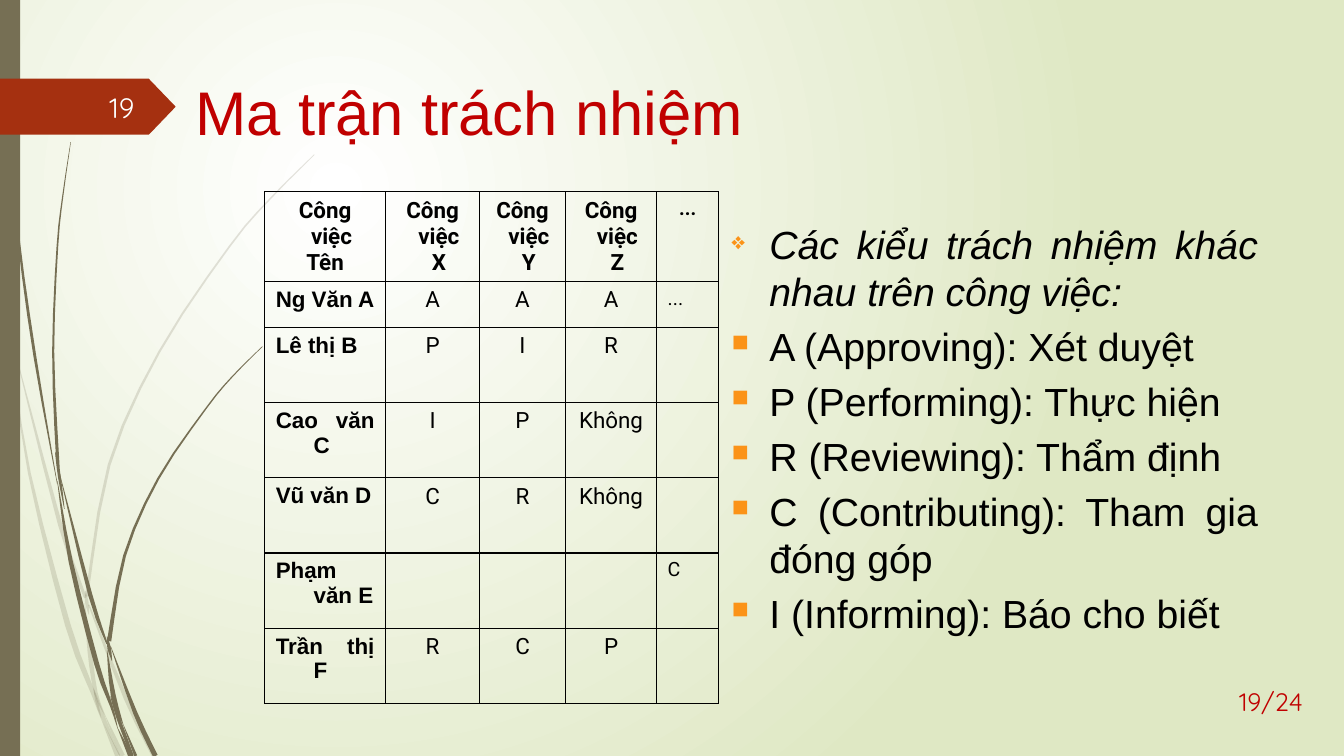
"""Build the responsibility matrix slide."""
from math import hypot

from lxml import etree
from pptx import Presentation
from pptx.dml.color import RGBColor
from pptx.enum.shapes import MSO_SHAPE
from pptx.enum.text import MSO_ANCHOR, PP_ALIGN
from pptx.oxml.ns import qn
from pptx.util import Pt

LEFT, CENTER, RIGHT, JUSTIFY = PP_ALIGN.LEFT, PP_ALIGN.CENTER, PP_ALIGN.RIGHT, PP_ALIGN.JUSTIFY
TOP, MIDDLE = MSO_ANCHOR.TOP, MSO_ANCHOR.MIDDLE

THEME = {
    "white": "FFFFFF", "green": "DFE8C4", "stalk": "766F54", "arrow": "A53010",
    "title": "C00000", "text": "000000", "bullet": "FB9318", "number": "FEFFFF",
    "sans": "Arial", "table": "Roboto", "page": "Quicksand",
    "title_size": 44, "body_size": 28, "number_size": 20, "page_size": 18,
    "cell_size": 16, "small_size": 14,
}

TITLE = "Ma trận trách nhiệm"
MATRIX = [
    ["Công việc\nTên", "Công việc X", "Công việc Y", "Công việc Z", "..."],
    ["Ng Văn A", "A", "A", "A", "..."],
    ["Lê thị B", "P", "I", "R", ""],
    ["Cao văn C", "I", "P", "Không", ""],
    ["Vũ văn D", "C", "R", "Không", ""],
    ["Phạm văn E", "", "", "", "C"],
    ["Trần thị F", "R", "C", "P", ""],
]
COLUMN_WIDTHS = [86.5, 67, 61.5, 65, 44.5]
ROW_HEIGHTS = [60, 32.75] + [53.75] * 5
DUTIES_HEAD = "Các kiểu trách nhiệm khác nhau trên công việc:"
DUTIES = [
    "A (Approving): Xét duyệt",
    "P (Performing): Thực hiện",
    "R (Reviewing): Thẩm định",
    "C (Contributing): Tham gia đóng góp",
    "I (Informing): Báo cho biết",
]

# Blades are centre points with a thickness.
BACK_BLADES = [
    [(0, 209, 2), (7, 242, 1.5), (8, 252, 0.3)],
    [(10, 248, 0.3), (43, 375, 3), (61, 427, 2)],
    [(63.5, 432, 1), (90, 499, 3), (110, 540, 3)],
    [(75.5, 512, 0.3), (87.5, 540, 3.5)],
    [(8, 252, 0.3), (21, 338, 2), (48.5, 446.5, 4), (66.5, 495, 3), (72.5, 514, 0.3)],
    [(60.5, 431, 0.3), (64, 465, 3), (68.5, 495, 2.5), (75.5, 512, 0.3)],
    [(224.5, 110.5, 0.5), (193, 142, 1), (164, 176, 1.2), (114, 251, 1.5), (78, 332, 2),
     (62, 426, 2)],
    [(72.5, 514, 0.3), (84, 540, 3.5)],
    [(61, 422, 0.3), (62, 430, 2.5), (63.5, 439, 0.3)],
    [(67, 492, 0.3), (71.5, 507, 3), (85.5, 540, 0.5)],
]
FRONT_BLADES = [
    [(2.5, 0, 0.7), (5.5, 79, 0.8), (13, 168, 1.5), (25, 255, 2), (41, 346, 0.3)],
    [(43, 340, 0.3), (64.5, 425, 3), (76.5, 460, 1)],
    [(79, 461.5, 0.3), (96.5, 509, 3), (111, 540, 3.5)],
    [(41, 343.5, 0.3), (50.5, 401, 3), (69, 474, 3.5), (79.5, 504, 2), (84, 520, 0.3)],
    [(50.5, 101.5, 0.3), (45, 139, 0.8), (41, 176, 1.2), (38, 251, 1.5), (41, 325, 2.2),
     (43, 340, 0.5)],
    [(88, 517.5, 0.3), (97, 540, 2.2)],
    [(39.5, 323, 0.3), (42.5, 341, 2), (46, 363.5, 0.3)],
    [(187.5, 247.5, 0.4), (166, 269, 0.8), (147, 292, 1), (113, 342, 1.5), (89, 397, 2),
     (78, 458, 3)],
    [(84, 520, 0.3), (93, 540, 3)],
    [(76.5, 464.5, 0.3), (81, 497, 3.5), (88, 517.5, 0.3)],
    [(76.5, 454.5, 0.3), (78, 463, 2.5), (80, 472, 0.3)],
    [(79, 497.5, 0.3), (84.5, 513, 2.5), (94.5, 540, 2.2)],
]


def rgb(name):
    return RGBColor.from_string(THEME[name])


def write(tf, text, font="sans", size="body_size", color="text", bold=False, italic=False,
          align=LEFT, anchor=TOP, hang=0, bullet=None, space=0, more=False):
    tf.word_wrap = True
    tf.vertical_anchor = anchor
    for i, line in enumerate(text.split("\n")):
        p = tf.add_paragraph() if more or i else tf.paragraphs[0]
        p.alignment = align
        p.space_before = Pt(space)
        pPr = p._p.get_or_add_pPr()
        pPr.set("marL", str(Pt(hang)))
        pPr.set("indent", str(Pt(-hang)))
        if bullet:
            clr = etree.SubElement(pPr, qn("a:buClr"))
            etree.SubElement(clr, qn("a:srgbClr"), val=THEME["bullet"])
            etree.SubElement(pPr, qn("a:buSzPct"), val="60000")
            etree.SubElement(pPr, qn("a:buChar"), char=bullet)
        r = p.add_run()
        r.text = line
        r.font.name, r.font.size = THEME[font], Pt(THEME[size])
        r.font.bold, r.font.italic = bold, italic
        r.font.color.rgb = rgb(color)


def text_box(s, x, y, w, h):
    return s.shapes.add_textbox(Pt(x), Pt(y), Pt(w), Pt(h)).text_frame


def paint(sp, color, alpha=100):
    sp.shadow.inherit = False
    sp.line.fill.background()
    sp.fill.solid()
    sp.fill.fore_color.rgb = rgb(color)
    if alpha < 100:
        clr = sp._element.spPr.find(".//" + qn("a:srgbClr"))
        etree.SubElement(clr, qn("a:alpha"), val=str(alpha * 1000))


def smooth(points, steps=3):
    ends = [points[0]] + points + [points[-1]]
    curve = []
    for a, b, c, d in zip(ends, ends[1:], ends[2:], ends[3:]):
        for t in (k / steps for k in range(steps)):
            curve.append([(2 * q + (r - p) * t + (2 * p - 5 * q + 4 * r - u) * t ** 2
                           + (3 * q - p - 3 * r + u) * t ** 3) / 2
                          for p, q, r, u in zip(a, b, c, d)])
    return curve + [points[-1]]


def blade(s, points, alpha):
    curve = smooth(points) if len(points) > 2 else points
    one_side, other_side = [], []
    for before, (x, y, w), after in zip(curve[:1] + curve, curve, curve[1:] + curve[-1:]):
        dx, dy = after[0] - before[0], after[1] - before[1]
        k = w / 2 / hypot(dx, dy)
        one_side.append((Pt(x - dy * k), Pt(y + dx * k)))
        other_side.append((Pt(x + dy * k), Pt(y - dx * k)))
    outline = one_side + other_side[::-1]
    fb = s.shapes.build_freeform(*outline[0])
    fb.add_line_segments(outline[1:])
    paint(fb.convert_to_shape(), "stalk", alpha)


def background(s):
    fill = s.background.fill
    fill.gradient()
    for stop, color in zip(fill.gradient_stops, ("white", "green")):
        stop.color.rgb = rgb(color)
    grad = s.element.find(".//" + qn("a:gradFill"))
    grad.remove(grad.find(qn("a:lin")))
    circle = etree.SubElement(grad, qn("a:path"), {"path": "circle"})
    etree.SubElement(circle, qn("a:fillToRect"), l="50000", t="50000", r="100000", b="100000")


def border(cell):
    tcPr = cell._tc.get_or_add_tcPr()
    for side in "LRTB":
        ln = etree.SubElement(tcPr, qn("a:ln" + side), w=str(Pt(1)))
        fill = etree.SubElement(ln, qn("a:solidFill"))
        etree.SubElement(fill, qn("a:srgbClr"), val=THEME["text"])


def matrix(s):
    table = s.shapes.add_table(len(MATRIX), len(MATRIX[0]), Pt(189), Pt(137),
                               Pt(sum(COLUMN_WIDTHS)), Pt(sum(ROW_HEIGHTS))).table
    table.first_row = table.horz_banding = False
    for column, width in zip(table.columns, COLUMN_WIDTHS):
        column.width = Pt(width)
    for i, (row, height) in enumerate(zip(MATRIX, ROW_HEIGHTS)):
        table.rows[i].height = Pt(height)
        for j, text in enumerate(row):
            cell = table.cell(i, j)
            head, name, last = i == 0, i > 0 and j == 0, j == len(row) - 1
            border(cell)
            cell.fill.background()
            cell.margin_left = cell.margin_right = Pt(8.5 if head else 8)
            cell.margin_top, cell.margin_bottom = Pt(4), Pt(2.5 if head else 4)
            if text:
                write(cell.text_frame, text, font="sans" if name else "table",
                      size="small_size" if last else "cell_size", bold=head or name,
                      align=JUSTIFY if name or last and not head else CENTER,
                      hang=9 if head else 27)


def main():
    prs = Presentation()
    prs.slide_width, prs.slide_height = Pt(960), Pt(540)
    s = prs.slides.add_slide(prs.slide_layouts[6])
    background(s)
    for blades, alpha in ((BACK_BLADES, 20), (FRONT_BLADES, 100)):
        for points in blades:
            blade(s, points, alpha)
    paint(s.shapes.add_shape(MSO_SHAPE.RECTANGLE, 0, 0, Pt(14.5), Pt(540)), "stalk")
    arrow = s.shapes.add_shape(MSO_SHAPE.PENTAGON, 0, Pt(56.25), Pt(125.5), Pt(40))
    arrow.adjustments[0] = 0.48
    paint(arrow, "arrow")
    write(text_box(s, 132.5, 49, 774, 101), TITLE, size="title_size", color="title")
    matrix(s)
    tf = text_box(s, 515.5, 154, 390, 357)
    write(tf, DUTIES_HEAD, italic=True, align=JUSTIFY, hang=27, bullet="❖", space=5.6)
    write(tf, "\n".join(DUTIES), align=JUSTIFY, hang=27, bullet="■", space=5.6, more=True)
    write(text_box(s, 42, 62, 61, 29), "19", font="page", size="number_size",
          color="number", align=RIGHT, anchor=MIDDLE)
    write(text_box(s, 878, 486.5, 65.5, 29), "19/24", font="page", size="page_size",
          color="title")
    prs.save("out.pptx")


if __name__ == "__main__":
    main()
